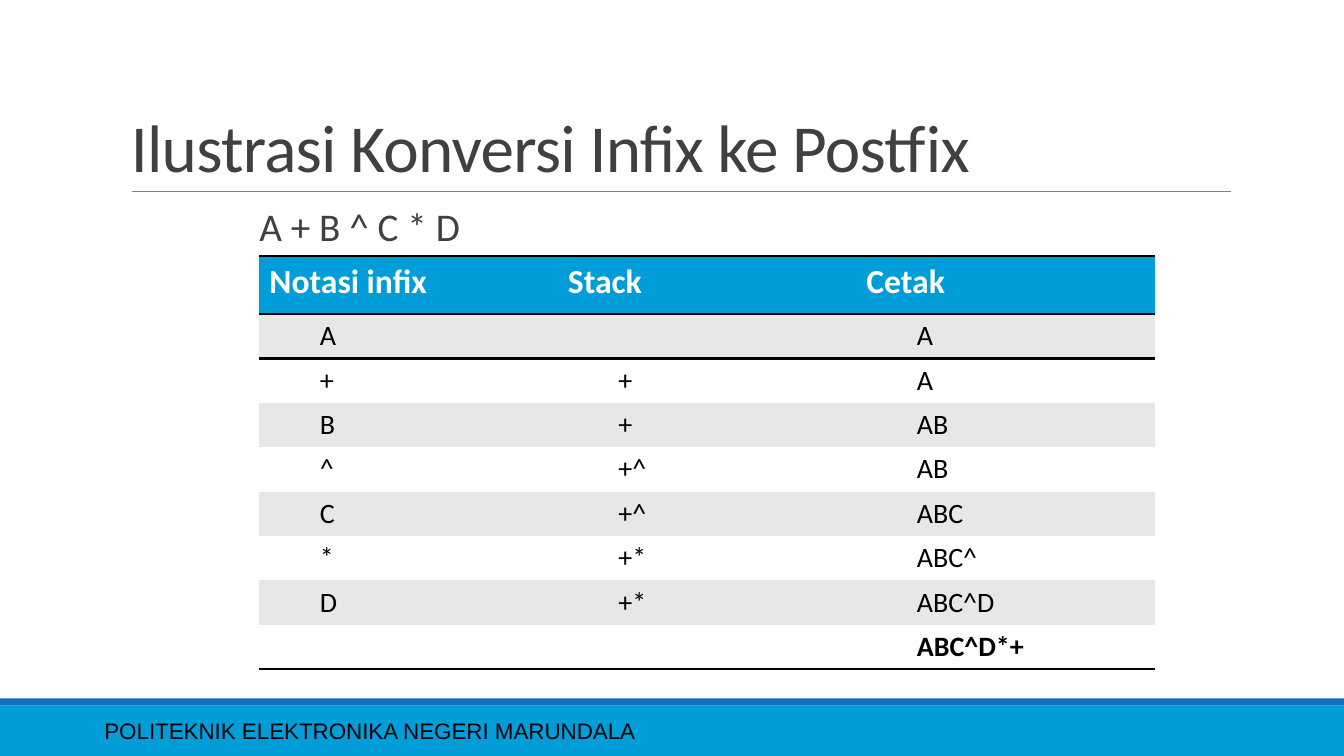
from lxml import etree
from pptx import Presentation
from pptx import util as u
from pptx.dml.color import RGBColor
from pptx.enum import shapes, text
from pptx.oxml.ns import qn

PX = 9525
COLORS = {"cyan": "009DD9", "blue": "0F6FC6", "rule": "808080", "ink": "404040",
          "black": "000000", "white": "FFFFFF", "band": "E7E7E7"}
NO_GRID = "{2D5ABB26-0587-4C30-8999-92F81FD0307C}"

STEPS = [("A", "", "A"), ("+", "+", "A"), ("B", "+", "AB"), ("^", "+^", "AB"),
         ("C", "+^", "ABC"), ("*", "+*", "ABC^"), ("D", "+*", "ABC^D"), ("", "", "ABC^D*+")]


def rgb(color):
    return RGBColor.from_string(COLORS[color])


def write(frame, wording, size, color="black", font="Calibri", bold=False,
          spacing=None, before=0, after=0, tracking=0, indent=0):
    line = frame.paragraphs[0]
    line.alignment = text.PP_ALIGN.LEFT
    line.line_spacing = spacing
    line.space_before, line.space_after = u.Pt(before), u.Pt(after)
    properties = line._p.get_or_add_pPr()
    properties.set("marL", str(indent * PX))
    properties.set("indent", "0")
    etree.SubElement(properties, qn("a:buNone"))
    run = line.add_run()
    run.text = wording
    run.font.name, run.font.size, run.font.bold = font, u.Pt(size), bold
    run.font.color.rgb = rgb(color)
    if tracking:
        run._r.get_or_add_rPr().set("spc", str(tracking))


class SlideBuilder:
    def __init__(self, deck):
        self.slide = deck.slides.add_slide(deck.slide_layouts[1])
        self.items = self.slide.shapes

    def box(self, *place):
        return [length * PX for length in place]

    def bar(self, place, color):
        bar = self.items.add_shape(shapes.MSO_SHAPE.RECTANGLE, *self.box(*place))
        bar.shadow.inherit = False
        bar.fill.solid()
        bar.fill.fore_color.rgb = rgb(color)
        bar.line.fill.background()

    def rule(self, ends, color, width):
        rule = self.items.add_connector(shapes.MSO_CONNECTOR.STRAIGHT, *self.box(*ends))
        rule.line.color.rgb = rgb(color)
        rule.line.width = u.Pt(width)
        etree.SubElement(rule._element.spPr, qn("a:effectLst"))

    def fill_frame(self, holder, wording, anchor, inset=None, **style):
        frame = holder.text_frame
        frame.word_wrap = True
        frame.auto_size = text.MSO_AUTO_SIZE.NONE
        frame.vertical_anchor = anchor
        if inset is not None:
            frame.margin_left = frame.margin_right = inset * PX
        write(frame, wording, **style)

    def label(self, place, wording, anchor, **style):
        label = self.items.add_textbox(*self.box(*place))
        self.fill_frame(label, wording, anchor, **style)

    def placeholder(self, index, place, wording, anchor, **style):
        holder = self.slide.placeholders[index]
        holder.left, holder.top, holder.width, holder.height = self.box(*place)
        self.fill_frame(holder, wording, anchor, **style)

    def border(self, cell, sides, color="black", width=2):
        properties = cell._tc.get_or_add_tcPr()
        for position, side in enumerate(sides):
            edge = etree.Element(qn(f"a:ln{side}"), w=str(u.Pt(width)))
            fill = etree.SubElement(edge, qn("a:solidFill"))
            etree.SubElement(fill, qn("a:srgbClr"), val=COLORS[color])
            properties.insert(position, edge)

    def cell(self, cell, wording, fill, **style):
        cell.fill.solid()
        cell.fill.fore_color.rgb = rgb(fill)
        if wording:
            write(cell.text_frame, wording, **style)

    def table(self, place, headings, rows, header_height, row_height):
        table = self.items.add_table(len(rows) + 1, len(headings), *self.box(*place)).table
        table.first_row = table.horz_banding = False
        table._tbl.tblPr.find(qn("a:tableStyleId")).text = NO_GRID
        for row in table.rows:
            row.height = row_height * PX
        table.rows[0].height = header_height * PX
        for column, heading in enumerate(headings):
            header = table.cell(0, column)
            self.cell(header, heading, "cyan", size=24, color="white", bold=True)
            self.border(header, "TB")
            for number, values in enumerate(rows, 1):
                last = number == len(rows)
                self.cell(table.cell(number, column), values[column],
                          "band" if number % 2 else "white", size=20, bold=last, indent=48)
            self.border(table.cell(1, column), "T")
            self.border(table.cell(len(rows), column), "B")


def main():
    deck = Presentation()
    deck.slide_width, deck.slide_height = 1280 * PX, 720 * PX
    page = SlideBuilder(deck)
    page.bar((0, 672, 1280, 48), "cyan")
    page.bar((0, 665, 1280, 7), "blue")
    page.rule((126, 182, 1172, 182), "rule", 0.5)
    page.label((90, 677, 807, 38), "POLITEKNIK ELEKTRONIKA NEGERI MARUNDALA",
               text.MSO_ANCHOR.MIDDLE, size=16, font="Arial")
    page.placeholder(0, (115, 30, 1056, 152), "Ilustrasi Konversi Infix ke Postfix",
                     text.MSO_ANCHOR.BOTTOM, size=48, color="ink", spacing=0.85, tracking=-50)
    page.placeholder(1, (247, 197, 404, 49), "A + B ^ C * D", text.MSO_ANCHOR.TOP, inset=0,
                     size=28, color="ink", spacing=0.8, before=12, after=2)
    page.table((247, 244, 853, 388), ("Notasi infix", "Stack", "Cetak"), STEPS, 55, 40)
    deck.save("out.pptx")


if __name__ == "__main__":
    main()
